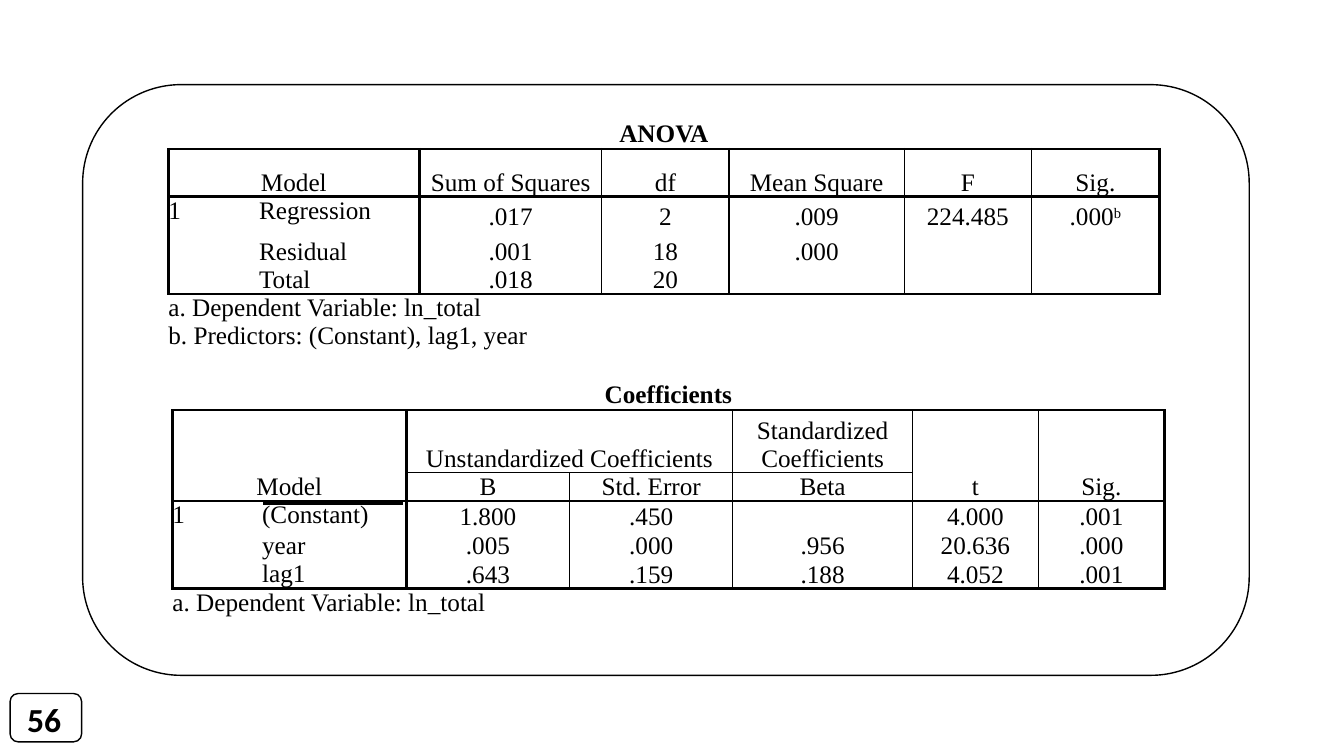
from dataclasses import dataclass

from lxml.etree import SubElement
from pptx import Presentation
from pptx.dml.color import RGBColor
from pptx.enum.shapes import MSO_CONNECTOR, MSO_SHAPE
from pptx.enum.text import MSO_ANCHOR, MSO_AUTO_SIZE, PP_ALIGN
from pptx.oxml.ns import qn
from pptx.shapes.autoshape import Shape
from pptx.slide import Slide
from pptx.table import _Cell as Cell
from pptx.text.text import Font
from pptx.util import Emu, Pt


@dataclass(frozen=True)
class Theme:
    ink: str = "000000"
    paper: str = "FFFFFF"
    serif: str = "Times New Roman"
    sans: str = "Calibri"
    body: int = 18
    page: int = 24
    thin: int = 1
    thick: int = 2


@dataclass(frozen=True)
class Box:
    left: int
    top: int
    width: int
    height: int


@dataclass(frozen=True)
class Span:
    row: int
    col: int
    high: int
    wide: int


@dataclass(frozen=True)
class Grid:
    left: int
    top: int
    cols: list[int]
    rows: list[int]
    head: int  # first row below the header
    foot: int  # first row of the notes
    spans: list[Span]
    cells: list[list[str]]


THEME = Theme()
INK = RGBColor.from_string(THEME.ink)
PAPER = RGBColor.from_string(THEME.paper)

FRAME = Box(82, 84, 1157, 586)
BADGE = Box(10, 688, 71, 48)
LABEL = Box(17, 688, 56, 50)

ANOVA = Grid(
    167, 118,
    [90, 159, 181, 126, 174, 126, 127],
    [30, 47, 41, 28, 28, 28, 28],
    2, 5,
    [Span(0, 0, 1, 7), Span(1, 0, 1, 2), Span(2, 0, 3, 1),
     Span(5, 0, 1, 7), Span(6, 0, 1, 7)],
    [["ANOVA"],
     ["Model", "", "Sum of Squares", "df", "Mean Square", "F", "Sig."],
     ["1", "Regression", ".017", "2", ".009", "224.485", ".000^b"],
     ["", "Residual", ".001", "18", ".000"],
     ["", "Total", ".018", "20"],
     ["a. Dependent Variable: ln_total"],
     ["b. Predictors: (Constant), lag1, year"]],
)
COEFFS = Grid(
    171, 377,
    [89, 143, 162, 162, 178, 125, 125],
    [30, 62, 28, 31, 28, 28, 28],
    3, 6,
    [Span(0, 0, 1, 7), Span(1, 0, 2, 2), Span(1, 2, 1, 2), Span(1, 5, 2, 1),
     Span(1, 6, 2, 1), Span(3, 0, 3, 1), Span(6, 0, 1, 7)],
    [["Coefficients"],
     ["Model", "", "Unstandardized Coefficients", "",
      "Standardized Coefficients", "t", "Sig."],
     ["", "", "B", "Std. Error", "Beta"],
     ["1", "(Constant)", "1.800", ".450", "", "4.000", ".001"],
     ["", "year", ".005", ".000", ".956", "20.636", ".000"],
     ["", "lag1", ".643", ".159", ".188", "4.052", ".001"],
     ["a. Dependent Variable: ln_total"]],
)


def px(size: int) -> Emu:
    return Emu(size * 9144)


def place(box: Box) -> list[Emu]:
    return [px(side) for side in (box.left, box.top, box.width, box.height)]


def style(font: Font, name: str, size: int, bold: bool) -> None:
    font.name, font.size, font.bold = name, Pt(size), bold
    font.color.rgb = INK


def add_panel(slide: Slide, box: Box) -> Shape:
    panel = slide.shapes.add_shape(MSO_SHAPE.ROUNDED_RECTANGLE, *place(box))
    panel.shadow.inherit = False
    panel.fill.solid()
    panel.fill.fore_color.rgb = PAPER
    panel.line.color.rgb = INK
    panel.line.width = Pt(THEME.thin)
    return panel


def col_rule(grid: Grid, row: int, edge: int) -> int:
    if edge == 1 or not 1 <= row < grid.foot:
        return 0
    return THEME.thick if edge in (0, 2, len(grid.cols)) else THEME.thin


def row_rule(grid: Grid, edge: int) -> int:
    if edge in (1, grid.head, grid.foot):
        return THEME.thick
    return THEME.thin if 1 < edge < grid.head else 0


def set_edges(cell: Cell, grid: Grid, row: int, col: int) -> None:
    rules = {"L": col_rule(grid, row, col), "R": col_rule(grid, row, col + 1),
             "T": row_rule(grid, row), "B": row_rule(grid, row + 1)}
    # No rules inside a merged block
    for span in grid.spans:
        end, last = span.row + span.high, span.col + span.wide
        if span.row <= row < end and span.col <= col < last:
            inner = {"L": col > span.col, "R": col + 1 < last,
                     "T": row > span.row, "B": row + 1 < end}
            rules = {side: 0 if inner[side] else rules[side] for side in rules}
    props = cell._tc.get_or_add_tcPr()
    for side, width in rules.items():
        line = SubElement(props, qn(f"a:ln{side}"), w=str(Pt(width)))
        if width:
            fill = SubElement(line, qn("a:solidFill"))
            SubElement(fill, qn("a:srgbClr"), val=THEME.ink)
        else:
            SubElement(line, qn("a:noFill"))


def fill_cell(cell: Cell, text: str, grid: Grid, row: int, col: int) -> None:
    cell.margin_left = cell.margin_right = cell.margin_top = cell.margin_bottom = 0
    para = cell.text_frame.paragraphs[0]
    main, _, mark = text.partition("^")
    if not main:
        end = SubElement(para._p, qn("a:endParaRPr"), sz=str(THEME.body * 100))
        SubElement(end, qn("a:latin"), typeface=THEME.serif)
        return
    para.text = main
    if mark:
        note = para.add_run()
        note.text = mark
        note._r.get_or_add_rPr().set("baseline", "30000")
    for run in para.runs:
        style(run.font, THEME.serif, THEME.body, row == 0)
    if row < grid.head or (row < grid.foot and col > 1):
        para.alignment = PP_ALIGN.CENTER
        heading = 0 < row < grid.head
        cell.vertical_anchor = MSO_ANCHOR.BOTTOM if heading else MSO_ANCHOR.MIDDLE


def add_grid(slide: Slide, grid: Grid) -> None:
    box = Box(grid.left, grid.top, sum(grid.cols), sum(grid.rows))
    table = slide.shapes.add_table(
        len(grid.rows), len(grid.cols), *place(box)).table
    table.first_row = table.horz_banding = False
    for column, width in zip(table.columns, grid.cols):
        column.width = px(width)
    for line, height in zip(table.rows, grid.rows):
        line.height = px(height)
    for span in grid.spans:
        end = table.cell(span.row + span.high - 1, span.col + span.wide - 1)
        table.cell(span.row, span.col).merge(end)
    for row, texts in enumerate(grid.cells):
        for col in range(len(grid.cols)):
            cell = table.cell(row, col)
            set_edges(cell, grid, row, col)
            cell.fill.solid()
            cell.fill.fore_color.rgb = PAPER
            fill_cell(cell, texts[col] if col < len(texts) else "", grid, row, col)


def main() -> None:
    deck = Presentation()
    deck.slide_width, deck.slide_height = px(1333), px(750)
    slide = deck.slides.add_slide(deck.slide_layouts[6])

    # Frame and tables
    add_panel(slide, FRAME)
    for grid in (ANOVA, COEFFS):
        add_grid(slide, grid)

    # Page number
    badge = add_panel(slide, BADGE)
    tint = badge.fill._xPr.find(f"{qn('a:solidFill')}/{qn('a:srgbClr')}")
    SubElement(tint, qn("a:alpha"), val="70000")
    frame = slide.shapes.add_textbox(*place(LABEL)).text_frame
    frame.text = "56"
    frame.word_wrap = False
    frame.auto_size = MSO_AUTO_SIZE.SHAPE_TO_FIT_TEXT
    style(frame.paragraphs[0].runs[0].font, THEME.sans, THEME.page, True)

    # Rule above the first coefficient
    rule = slide.shapes.add_connector(
        MSO_CONNECTOR.STRAIGHT, px(261), px(499), px(400), px(499))
    rule.line.color.rgb = INK
    rule.line.width = Pt(2.25)
    SubElement(rule._element.spPr, qn("a:effectLst"))

    deck.save("out.pptx")


if __name__ == "__main__":
    main()
